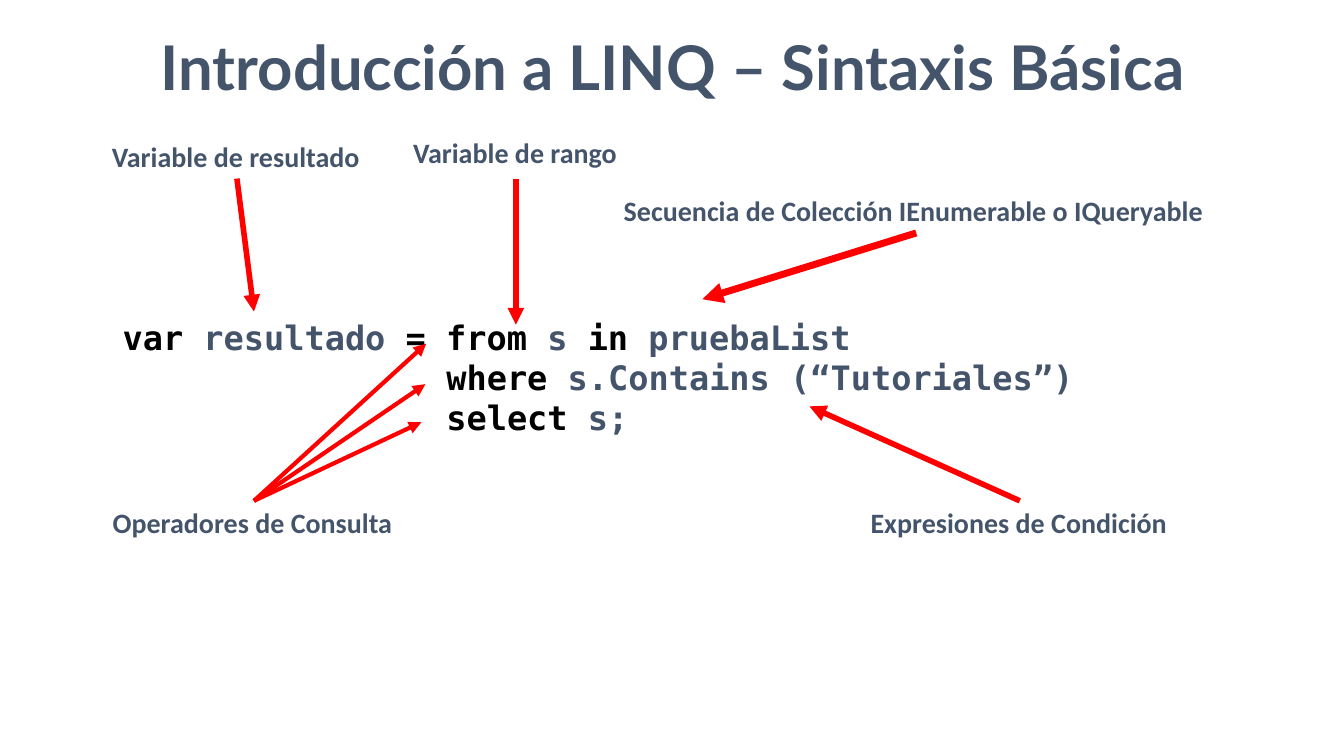
import dataclasses

import lxml.etree
import pptx
import pptx.dml.color
import pptx.enum.shapes
import pptx.enum.text
import pptx.oxml.ns
import pptx.util

Cm = pptx.util.Cm


@dataclasses.dataclass(frozen=True)
class Theme:
    slate: str = "44546A"
    black: str = "000000"
    red: str = "FF0000"
    title_font: str = "Lato"
    label_font: str = "Calibri"
    code_font: str = "DejaVu Sans Mono"
    title_size: int = 44
    label_size: int = 20
    code_size: int = 24


THEME = Theme()
LABEL_HEIGHT = 1.12
CODE_INDENT = 8.16

LABELS = [
    ("Variable de resultado", 2.57, 3.38, 6.81),
    ("Variable de rango", 10.16, 3.28, 5.69),
    ("Secuencia de Colección IEnumerable o IQueryable", 15.47, 4.75, 15.24),
    ("Operadores de Consulta", 2.59, 12.62, 7.62),
    ("Expresiones de Condición", 21.69, 12.62, 8.05),
]

CODE_LINES = [
    (0, [("var", THEME.black), (" resultado ", THEME.slate), ("= from", THEME.black),
         (" s ", THEME.slate), ("in ", THEME.black), ("pruebaList", THEME.slate)]),
    (CODE_INDENT, [("where ", THEME.black), ("s.Contains (“Tutoriales”)", THEME.slate)]),
    (CODE_INDENT, [("select", THEME.black), (" s;", THEME.slate)]),
]

ARROWS = [
    ((13, 4.5), (13, 8.18), 4),
    ((23.09, 5.87), (17.7, 7.54), 5),
    ((5.97, 4.5), (6.4, 7.85), 4),
    ((25.7, 12.62), (20.4, 10.24), 4),
]
OPERATORS_START = (6.4, 12.62)
OPERATOR_ENDS = [(10.74, 8.66), (10.72, 9.68), (10.62, 10.64)]


def add_text(para, text, *, font, size, color=THEME.slate):
    span = para.add_run()
    span.text = text
    span.font.name = font
    span.font.size = pptx.util.Pt(size)
    span.font.bold = True
    span.font.color.rgb = pptx.dml.color.RGBColor.from_string(color)


def add_title(page, text):
    title = page.shapes.title
    title.left, title.top, title.width, title.height = map(Cm, (0.33, 0.66, 33.27, 2.01))
    frame = title.text_frame
    frame.margin_left = frame.margin_right = Cm(0.13)
    frame.margin_top = frame.margin_bottom = Cm(0.05)
    frame.vertical_anchor = pptx.enum.text.MSO_ANCHOR.MIDDLE
    frame.auto_size = pptx.enum.text.MSO_AUTO_SIZE.NONE
    para = frame.paragraphs[0]
    para.alignment = pptx.enum.text.PP_ALIGN.CENTER
    add_text(para, text, font=THEME.title_font, size=THEME.title_size)


def add_label(page, text, left, top, width):
    box = page.shapes.add_textbox(Cm(left), Cm(top), Cm(width), Cm(LABEL_HEIGHT))
    box.text_frame.word_wrap = False
    add_text(box.text_frame.paragraphs[0], text, font=THEME.label_font, size=THEME.label_size)


def add_code(page, lines):
    box = page.shapes.add_textbox(Cm(2.84), Cm(7.85), Cm(25.22), Cm(3.33))
    frame = box.text_frame
    frame.word_wrap = True
    for number, (indent, pieces) in enumerate(lines):
        para = frame.add_paragraph() if number else frame.paragraphs[0]
        for text, color in pieces:
            add_text(para, text, font=THEME.code_font, size=THEME.code_size, color=color)
        if indent:
            para._p.get_or_add_pPr().set("marL", str(Cm(indent)))


def add_arrow(page, start, end, weight):
    arrow = page.shapes.add_connector(
        pptx.enum.shapes.MSO_CONNECTOR.STRAIGHT, *map(Cm, start + end))
    arrow.line.color.rgb = pptx.dml.color.RGBColor.from_string(THEME.red)
    arrow.line.width = pptx.util.Pt(weight)
    properties = arrow._element.spPr
    outline = properties.find(pptx.oxml.ns.qn("a:ln"))
    lxml.etree.SubElement(outline, pptx.oxml.ns.qn("a:tailEnd"), type="triangle")
    lxml.etree.SubElement(properties, pptx.oxml.ns.qn("a:effectLst"))


def main():
    deck = pptx.Presentation()
    deck.slide_width, deck.slide_height = Cm(33.87), Cm(19.05)
    page = deck.slides.add_slide(deck.slide_layouts.get_by_name("Title Only"))
    add_title(page, "Introducción a LINQ – Sintaxis Básica")
    add_code(page, CODE_LINES)
    for label in LABELS:
        add_label(page, *label)
    for arrow in ARROWS:
        add_arrow(page, *arrow)
    for end in OPERATOR_ENDS:
        add_arrow(page, OPERATORS_START, end, 3)
    deck.save("out.pptx")


main()
